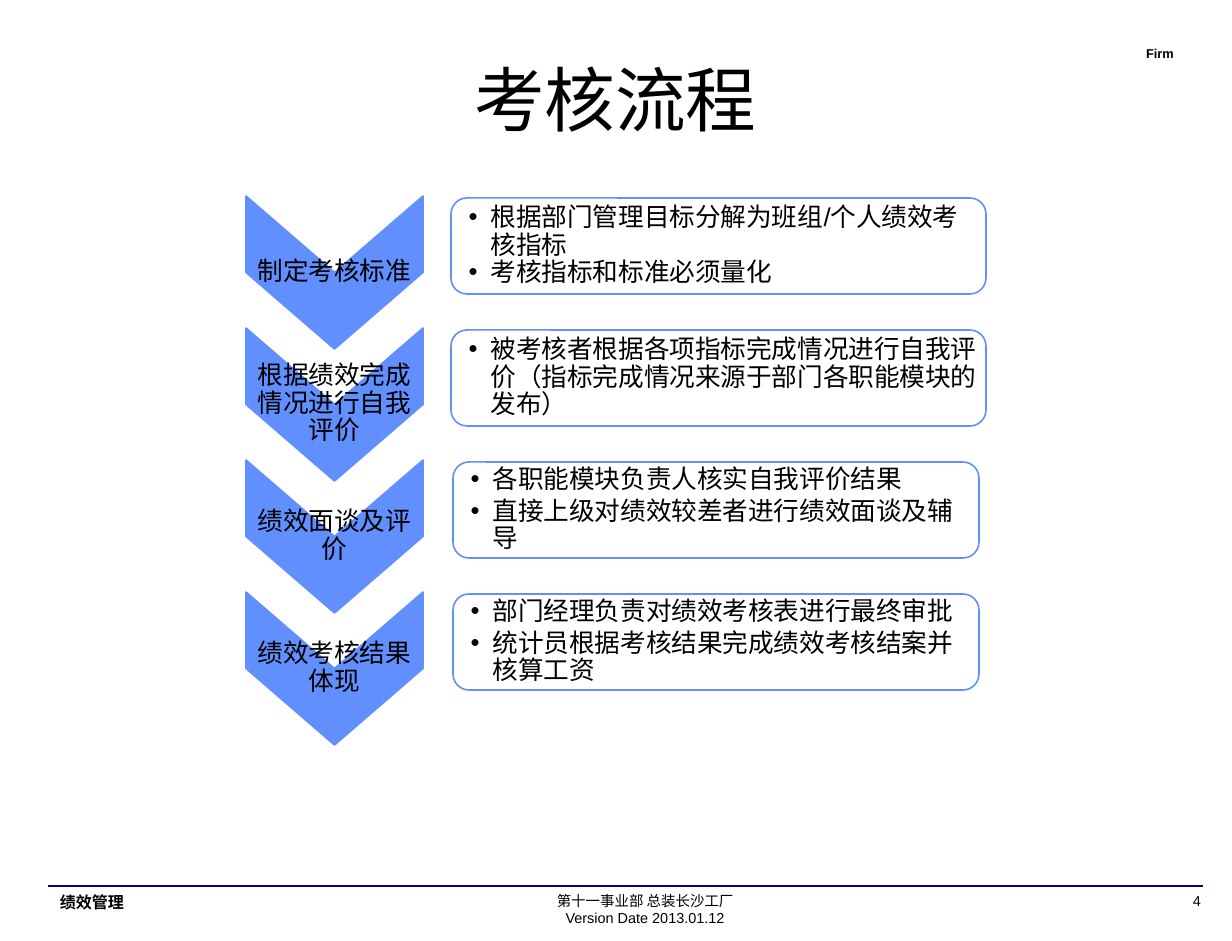
from lxml.etree import SubElement
from pptx import Presentation
from pptx.dml.color import RGBColor
from pptx.enum.shapes import MSO_CONNECTOR, MSO_SHAPE
from pptx.enum.text import MSO_ANCHOR as ANCHOR, MSO_AUTO_SIZE as AUTO_SIZE, PP_ALIGN as ALIGN
from pptx.oxml.ns import qn
from pptx.util import Pt

COLORS = {"text": "000000", "step": "618FFD", "panel": "FFFFFF", "rule": "000080"}
LATIN = "Arial"
SCALE = 914400 / 115.5


def px(*lengths):
    return [round(length * SCALE) for length in lengths]


def write(frame, lines, size, align=ALIGN.LEFT, bold=False, font=LATIN,
          anchor=ANCHOR.TOP, insets=(12, 6, 12, 6), spacing=None, gap=0, bullets=False):
    frame.word_wrap = True
    frame.auto_size = AUTO_SIZE.NONE
    frame.vertical_anchor = anchor
    frame.margin_left, frame.margin_top, frame.margin_right, frame.margin_bottom = px(*insets)
    for index, line in enumerate(lines):
        paragraph = frame.paragraphs[0] if index == 0 else frame.add_paragraph()
        paragraph.alignment = align
        paragraph.line_spacing = spacing
        paragraph.space_after = Pt(gap)
        if bullets:
            properties = paragraph._p.get_or_add_pPr()
            hang = px(22)[0]
            properties.set("marL", str(hang))
            properties.set("indent", str(-hang))
            SubElement(properties, qn("a:buFont")).set("typeface", LATIN)
            SubElement(properties, qn("a:buChar")).set("char", "•")
        run = paragraph.add_run()
        run.text = line
        run.font.size = Pt(size)
        run.font.bold = bold
        run.font.name = font
        run.font.color.rgb = RGBColor.from_string(COLORS["text"])


deck = Presentation()
deck.slide_width, deck.slide_height = px(1232, 941)
slide = deck.slides.add_slide(deck.slide_layouts[5])
shapes = slide.shapes

title = shapes.title
title.left, title.top, title.width, title.height = px(84, 50, 1063, 113)
write(title.text_frame, ["考核流程"], 44, ALIGN.CENTER, font="Times New Roman")

margin_texts = [
    ((48, 886, 240, 58), ["绩效管理"], 10, ALIGN.LEFT, True),
    ((462, 886, 366, 58), ["第十一事业部 总装长沙工厂", "Version Date 2013.01.12"], 9, ALIGN.CENTER, False),
    ((1168, 886, 45, 29), ["4"], 9, ALIGN.RIGHT, False),
    ((1117, 40, 69, 27), ["Firm"], 8, ALIGN.RIGHT, True),
]
for box, lines, size, align, bold in margin_texts:
    write(shapes.add_textbox(*px(*box)).text_frame, lines, size, align, bold)

footer_rule = shapes.add_connector(MSO_CONNECTOR.STRAIGHT, *px(48, 886, 1203, 886))
footer_rule.line.color.rgb = RGBColor.from_string(COLORS["rule"])
footer_rule.line.width = Pt(1)
SubElement(footer_rule._element.spPr, qn("a:effectLst"))

steps = [
    ("制定考核标准", 451, 535, 0,
     ["根据部门管理目标分解为班组/个人绩效考核指标", "考核指标和标准必须量化"]),
    ("根据绩效完成情况进行自我评价", 451, 535, 0,
     ["被考核者根据各项指标完成情况进行自我评价（指标完成情况来源于部门各职能模块的发布）"]),
    ("绩效面谈及评价", 453, 526, 2.5,
     ["各职能模块负责人核实自我评价结果", "直接上级对绩效较差者进行绩效面谈及辅导"]),
    ("绩效考核结果体现", 453, 526, 2.5,
     ["部门经理负责对绩效考核表进行最终审批", "统计员根据考核结果完成绩效考核结案并核算工资"]),
]
STEP_PITCH = 132
for row, (label, panel_left, panel_width, gap, details) in enumerate(steps):
    offset = row * STEP_PITCH
    chevron = shapes.add_shape(MSO_SHAPE.CHEVRON, *px(258, 184 + offset, 153, 177))
    chevron.rotation = 90
    panel = shapes.add_shape(MSO_SHAPE.ROUNDED_RECTANGLE, *px(panel_left, 198 + offset, panel_width, 96))
    for part, fill in ((chevron, "step"), (panel, "panel")):
        part.shadow.inherit = False
        part.fill.solid()
        part.fill.fore_color.rgb = RGBColor.from_string(COLORS[fill])
        part.line.color.rgb = RGBColor.from_string(COLORS["step"])
        part.line.width = Pt(1)
    caption = shapes.add_textbox(*px(246, 197 + offset, 177, 150))
    write(caption.text_frame, [label], 16, ALIGN.CENTER, anchor=ANCHOR.MIDDLE,
          insets=(1, 1, 1, 1), spacing=0.9)
    write(panel.text_frame, details, 16, anchor=ANCHOR.MIDDLE,
          insets=(13, 0, 1, 0), spacing=0.9, gap=gap, bullets=True)

deck.save("out.pptx")
